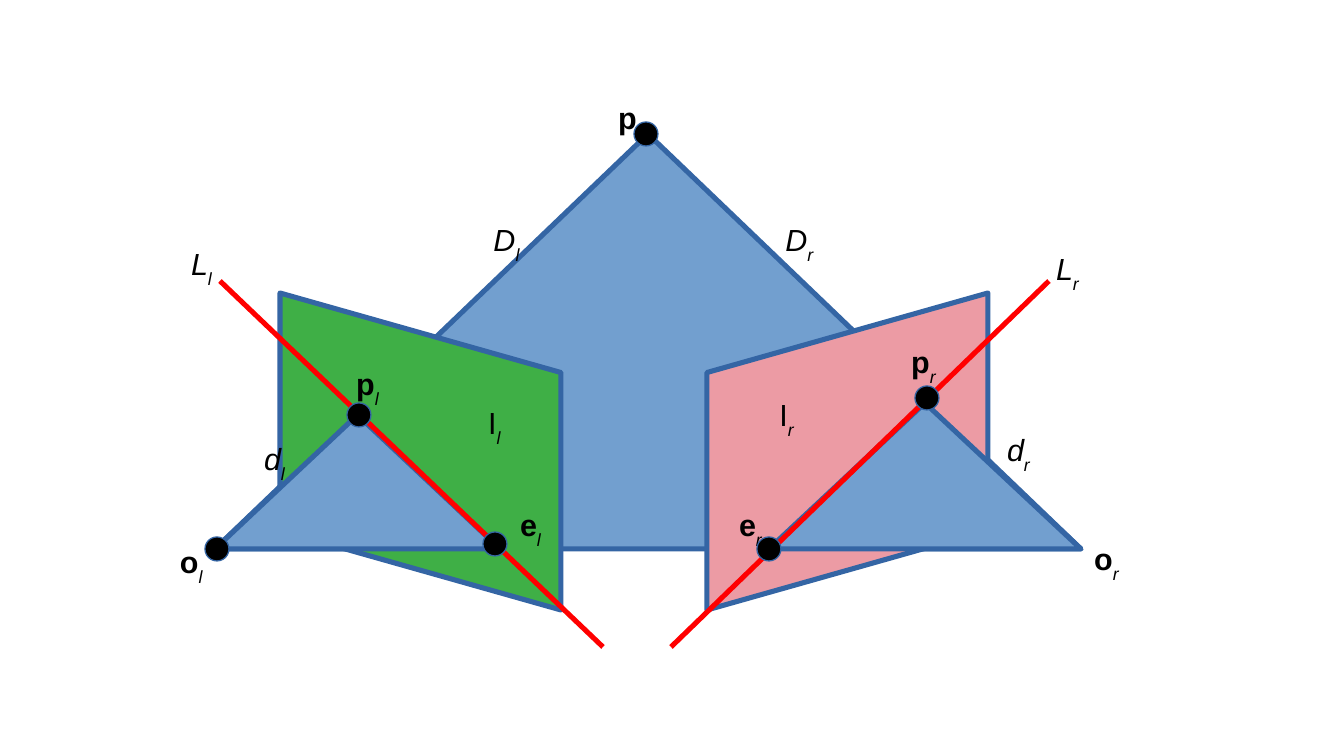
import pptx
import pptx.dml.color
import pptx.enum.shapes
import pptx.enum.text
import pptx.util
from lxml import etree

PIXEL = 914400 / 122
SHAPES = pptx.enum.shapes.MSO_SHAPE
ALIGN = pptx.enum.text.PP_ALIGN
BLUE, EDGE, GREEN, PINK = "729FCF", "3465A4", "3FAF46", "EC9BA4"
RED, BLACK = "FF0000", "000000"


def emu(pixels):
    """Turn pixels into EMU."""
    return pptx.util.Emu(round(pixels * PIXEL))


def color(value):
    """Turn a hex string into a colour."""
    return pptx.dml.color.RGBColor.from_string(value)


class Diagram:
    """Holds the style and the slide of the epipolar diagram."""

    font, size, stroke, dot_size = "Arial", 18, 3, 24

    def __init__(self, slide):
        """Keep the slide to draw on."""
        self.slide = slide

    def shape(self, kind, box, fill, stroke=stroke):
        """Add a filled preset shape with a blue edge."""
        shape = self.slide.shapes.add_shape(kind, *map(emu, box))
        shape.shadow.inherit = False
        shape.fill.solid()
        shape.fill.fore_color.rgb = color(fill)
        shape.line.color.rgb = color(EDGE)
        shape.line.width = pptx.util.Pt(stroke)
        return shape

    def triangle(self, *box):
        """Add a triangle of the epipolar plane."""
        self.shape(SHAPES.ISOSCELES_TRIANGLE, box, BLUE)

    def image_plane(self, left, fill, rotation, flipped=False):
        """Add an image plane: a parallelogram turned upright."""
        plane = self.shape(SHAPES.PARALLELOGRAM, (left, 311, 317, 281), fill)
        plane.adjustments[0] = 0.283
        plane.rotation = rotation
        if flipped:
            plane._element.spPr.find(pptx.oxml.ns.qn("a:xfrm")).set("flipH", "1")

    def epipolar_line(self, *ends):
        """Add a red line from one point to another."""
        line = self.slide.shapes.add_connector(
            pptx.enum.shapes.MSO_CONNECTOR.STRAIGHT, *map(emu, ends))
        line.line.color.rgb = color(RED)
        line.line.width = pptx.util.Pt(self.stroke)
        etree.SubElement(line._element.spPr, pptx.oxml.ns.qn("a:effectLst"))

    def dot(self, x, y):
        """Add a black point centred at x, y."""
        half = self.dot_size / 2
        box = (x - half, y - half, self.dot_size, self.dot_size)
        self.shape(SHAPES.OVAL, box, BLACK, 0)

    def run(self, paragraph, text, bold, italic):
        """Add one run of label text."""
        run = paragraph.add_run()
        run.text = text
        run.font.name = self.font
        run.font.size = pptx.util.Pt(self.size)
        run.font.bold, run.font.italic = bold, italic
        run.font.color.rgb = color(BLACK)
        return run

    def label(self, left, top, symbol, subscript="", bold=False, italic=False,
              align=ALIGN.CENTER):
        """Add a symbol with an italic subscript."""
        width, height = (61, 54) if subscript else (49, 46)
        box = self.slide.shapes.add_textbox(*map(emu, (left, top, width, height)))
        box.text_frame.word_wrap = True
        box.text_frame.auto_size = pptx.enum.text.MSO_AUTO_SIZE.SHAPE_TO_FIT_TEXT
        paragraph = box.text_frame.paragraphs[0]
        paragraph.alignment = align
        self.run(paragraph, symbol, bold, italic)
        if subscript:
            lowered = self.run(paragraph, subscript, False, True)
            lowered._r.get_or_add_rPr().set("baseline", "-33000")


def main():
    """Build the slide and save it."""
    presentation = pptx.Presentation()
    presentation.slide_width, presentation.slide_height = emu(1344), emu(756)
    slide = presentation.slides.add_slide(presentation.slide_layouts[6])
    diagram = Diagram(slide)

    diagram.triangle(215, 134, 866, 415)
    diagram.image_plane(262, GREEN, 270)
    diagram.triangle(215, 415, 285, 134)
    diagram.epipolar_line(220, 281, 603, 647)
    diagram.image_plane(689, PINK, 90, flipped=True)
    diagram.triangle(769, 403, 312, 146)
    diagram.epipolar_line(1049, 281, 671, 647)

    diagram.label(603, 93, "p", bold=True)
    diagram.label(168, 537, "o", "l", bold=True, align=ALIGN.LEFT)
    for left, top, symbol, side in (
            (1076, 534, "o", "r"), (337, 359, "p", "l"), (893, 337, "p", "r"),
            (500, 500, "e", "l"), (720, 500, "e", "r")):
        diagram.label(left, top, symbol, side, bold=True)
    for left, top, symbol, side in (
            (171, 239, "L", "l"), (1037, 244, "L", "r"),
            (244, 434, "d", "l"), (988, 425, "d", "r"),
            (476, 215, "D", "l"), (769, 215, "D", "r")):
        diagram.label(left, top, symbol, side, italic=True)
    diagram.label(464, 398, "I", "l")
    diagram.label(756, 390, "I", "r")

    for x, y in ((646, 134), (359, 415), (217, 549), (495, 544),
                 (927, 398), (769, 549)):
        diagram.dot(x, y)

    presentation.save("out.pptx")


main()
